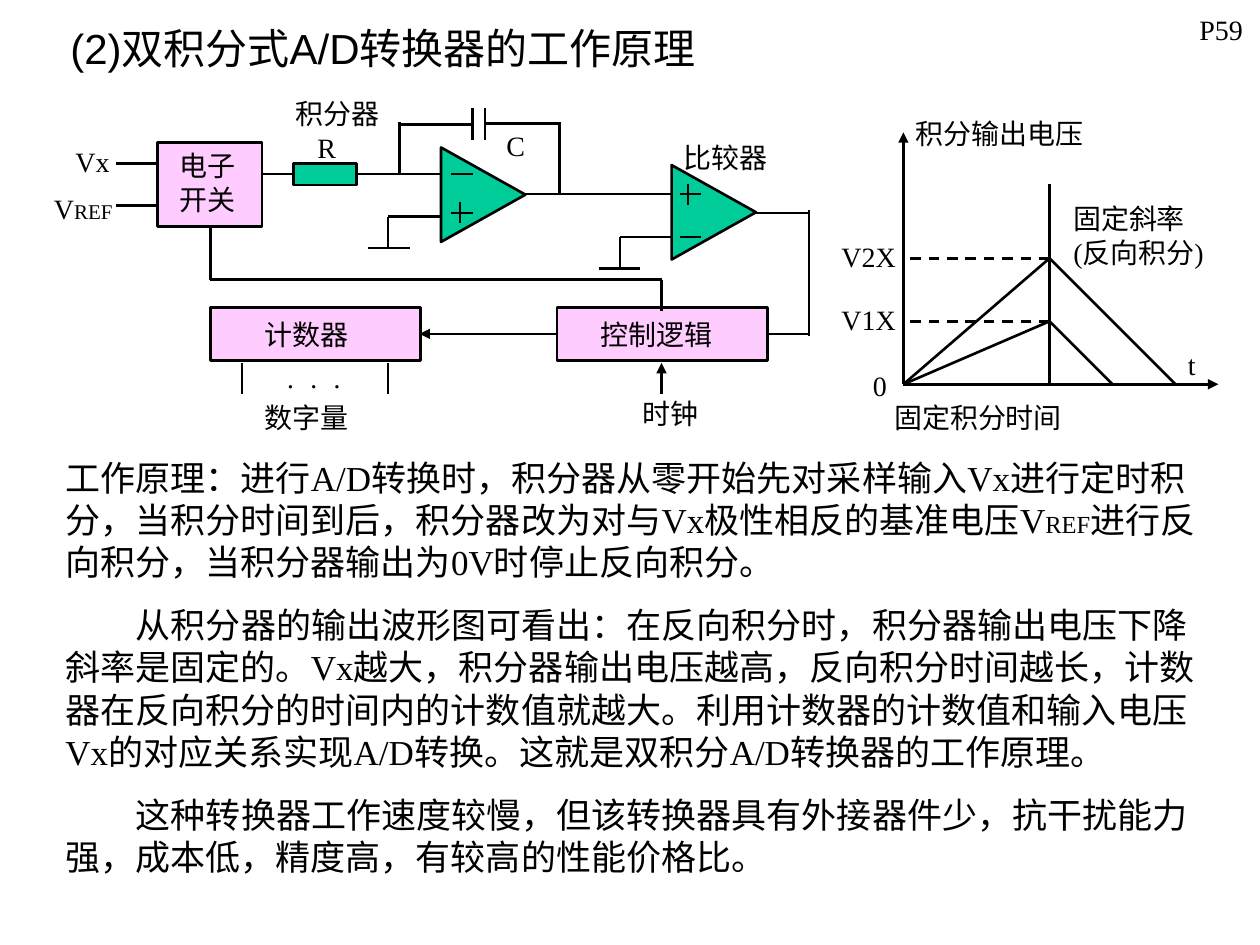
from lxml import etree
from pptx import Presentation
from pptx.dml.color import RGBColor
from pptx.enum.dml import MSO_LINE
from pptx.enum.shapes import MSO_CONNECTOR, MSO_SHAPE
from pptx.enum.text import MSO_ANCHOR, MSO_AUTO_SIZE, PP_ALIGN
from pptx.oxml.ns import qn
from pptx.util import Inches, Pt

COLORS = {"ink": "000000", "block": "FFCCFF", "part": "00CC99"}
SERIF = "Times New Roman"

BLOCKS = [(1.25, 1.13, 0.83, 0.67), (1.67, 2.44, 1.67, 0.42), (4.42, 2.44, 1.67, 0.42)]
RESISTOR = (2.33, 1.3, 0.5, 0.17)
AMPLIFIERS = [(3.46, 1.21, 0.75, 0.67), (5.29, 1.35, 0.75, 0.67)]

WIRES = [
    (0.92, 1.3, 1.25, 1.3), (0.92, 1.63, 1.25, 1.63),
    (2.33, 1.38, 2.08, 1.38), (2.83, 1.38, 3.5, 1.38),
    (3.17, 0.99, 3.75, 0.99), (3.75, 0.86, 3.75, 1.11),
    (3.85, 0.86, 3.85, 1.11), (3.85, 0.98, 4.44, 0.98),
    (4.44, 0.97, 4.44, 1.55), (3.17, 0.97, 3.17, 1.38),
    (3.08, 1.72, 3.5, 1.72), (3.08, 1.72, 3.08, 1.97), (2.92, 1.97, 3.25, 1.97),
    (4.92, 1.88, 5.33, 1.88), (4.92, 1.88, 4.92, 2.13), (4.75, 2.13, 5.08, 2.13),
    (4.17, 1.54, 5.33, 1.54),
    (6, 1.69, 6.42, 1.69), (6.42, 2.67, 6.42, 1.67), (6.08, 2.65, 6.42, 2.65),
    (1.67, 1.8, 1.67, 2.22), (1.67, 2.22, 5.25, 2.22), (5.25, 2.22, 5.25, 2.47),
    (1.92, 2.88, 1.92, 3.13), (3.08, 2.88, 3.08, 3.13),
]
SIGNS = [
    (3.58, 1.38, 3.75, 1.38),
    (3.58, 1.69, 3.75, 1.69), (3.65, 1.6, 3.65, 1.77),
    (5.4, 1.54, 5.56, 1.54), (5.46, 1.46, 5.46, 1.63),
    (5.4, 1.88, 5.56, 1.88),
]
SIGNAL_ARROWS = [(4.42, 2.65, 3.33, 2.65), (5.25, 3.13, 5.25, 2.88)]

ORIGIN_X, ORIGIN_Y, PEAK_X = 7.17, 3.05, 8.33
AXES = [(ORIGIN_X, ORIGIN_Y, 9.67, ORIGIN_Y), (ORIGIN_X, ORIGIN_Y, ORIGIN_X, 1.05)]
RAMPS = [(2.05, 9.33), (2.55, 8.83)]

LABELS = [
    ("P59", 9.42, 0.05, 0.58, 0.37),
    ("Vx", 0.5, 1.1, 0.58, 0.37),
    ("R", 2.42, 0.99, 0.33, 0.37),
    ("C", 3.92, 0.97, 0.33, 0.37),
    ("积分器", 2.25, 0.72, 1, 0.37),
    ("比较器", 5.33, 1.07, 1.08, 0.37),
    ("电子开关", 1.33, 1.13, 0.67, 0.64),
    ("计数器", 2, 2.47, 1, 0.37),
    ("控制逻辑", 4.67, 2.47, 1.17, 0.37),
    ("数字量", 2, 3.13, 1, 0.37),
    ("时钟", 5, 3.1, 0.92, 0.37),
    ("积分输出电压", 7.17, 0.88, 1.58, 0.37),
    ("固定斜率(反向积分)", 8.42, 1.55, 1.33, 0.9),
    ("V2X", 6.58, 1.85, 0.75, 0.37),
    ("V1X", 6.58, 2.35, 0.67, 0.37),
    ("0", 6.83, 2.88, 0.42, 0.37),
    ("t", 9.33, 2.71, 0.42, 0.37),
    ("固定积分时间", 7, 3.13, 1.67, 0.37),
]

EXPLANATION = [
    [("工作原理：进行A/D转换时，积分器从零开始先对采样输入Vx进行定时积分，"
      "当积分时间到后，积分器改为对与Vx极性相反的基准电压V", 20),
     ("REF", 14),
     ("进行反向积分，当积分器输出为0V时停止反向积分。", 20)],
    [("从积分器的输出波形图可看出：在反向积分时，积分器输出电压下降斜率是固定的。"
      "Vx越大，积分器输出电压越高，反向积分时间越长，计数器在反向积分的时间内的计数值就越大。"
      "利用计数器的计数值和输入电压Vx的对应关系实现A/D转换。"
      "这就是双积分A/D转换器的工作原理。", 20)],
    [("这种转换器工作速度较慢，但该转换器具有外接器件少，抗干扰能力强，"
      "成本低，精度高，有较高的性能价格比。", 20)],
]


def rgb(name):
    return RGBColor.from_string(COLORS[name])


def add_line(s, points, arrow=False, dashed=False):
    line = s.shapes.add_connector(MSO_CONNECTOR.STRAIGHT, *map(Inches, points))
    line.line.color.rgb = rgb("ink")
    line.line.width = Pt(1.5)
    if dashed:
        line.line.dash_style = MSO_LINE.DASH
    if arrow:
        etree.SubElement(line.line._get_or_add_ln(), qn("a:tailEnd"), type="triangle")
    etree.SubElement(line._element.spPr, qn("a:effectLst"))


def add_part(s, box, color, kind=MSO_SHAPE.RECTANGLE, rotation=0):
    sp = s.shapes.add_shape(kind, *map(Inches, box))
    sp.rotation = rotation
    sp.shadow.inherit = False
    sp.fill.solid()
    sp.fill.fore_color.rgb = rgb(color)
    sp.line.color.rgb = rgb("ink")
    sp.line.width = Pt(1.5)


def add_text(s, box, paragraphs, indent=0):
    tf = s.shapes.add_textbox(*map(Inches, box)).text_frame
    tf.word_wrap = True
    for i, runs in enumerate(paragraphs):
        p = tf.add_paragraph() if i else tf.paragraphs[0]
        if i:
            p.space_before = Pt(12.5)
            p._p.get_or_add_pPr().set("indent", str(Inches(indent)))
        p.font.name = SERIF
        p.font.color.rgb = rgb("ink")
        for text, size in runs:
            r = p.add_run()
            r.text = text
            r.font.size = Pt(size)
    return tf


def add_title(s, text):
    title = s.shapes.title
    title.left, title.top, title.width, title.height = map(Inches, (0.25, 0.17, 5.58, 0.42))
    tf = title.text_frame
    tf.text = text
    tf.auto_size = MSO_AUTO_SIZE.NONE
    tf.vertical_anchor = MSO_ANCHOR.MIDDLE
    p = tf.paragraphs[0]
    p.alignment = PP_ALIGN.CENTER
    p.font.name = "Arial"
    p.font.size = Pt(24)
    p.font.color.rgb = rgb("ink")


def add_circuit(s):
    for box in BLOCKS:
        add_part(s, box, "block")
    add_part(s, RESISTOR, "part")
    for points in WIRES:
        add_line(s, points)
    for box in AMPLIFIERS:
        add_part(s, box, "part", MSO_SHAPE.FLOWCHART_EXTRACT, 90)
    for points in SIGNS:
        add_line(s, points)
    for points in SIGNAL_ARROWS:
        add_line(s, points, arrow=True)


def add_waveform(s):
    for points in AXES:
        add_line(s, points, arrow=True)
    add_line(s, (PEAK_X, 1.46, PEAK_X, ORIGIN_Y))
    for peak_y, end_x in RAMPS:
        add_line(s, (ORIGIN_X, ORIGIN_Y, PEAK_X, peak_y))
        add_line(s, (PEAK_X, peak_y, end_x, ORIGIN_Y))
        add_line(s, (PEAK_X, peak_y, ORIGIN_X, peak_y), dashed=True)


def add_labels(s):
    for text, *box in LABELS:
        add_text(s, box, [[(text, 16)]])
    add_text(s, (0.33, 1.47, 0.83, 0.37), [[("V", 16), ("REF", 12)]])
    dots = add_text(s, (2.17, 2.88, 0.83, 0.37), [[("· · ·", 16)]])
    dots.paragraphs[0].runs[0]._r.get_or_add_rPr().set("spc", "200")


def main():
    prs = Presentation()
    prs.slide_width, prs.slide_height = Inches(10), Inches(7.5)
    s = prs.slides.add_slide(prs.slide_layouts[5])
    add_title(s, "(2)双积分式A/D转换器的工作原理")
    add_circuit(s)
    add_waveform(s)
    add_labels(s)
    add_text(s, (0.42, 3.57, 9.25, 3.45), EXPLANATION, indent=0.56)
    prs.save("out.pptx")


if __name__ == "__main__":
    main()
